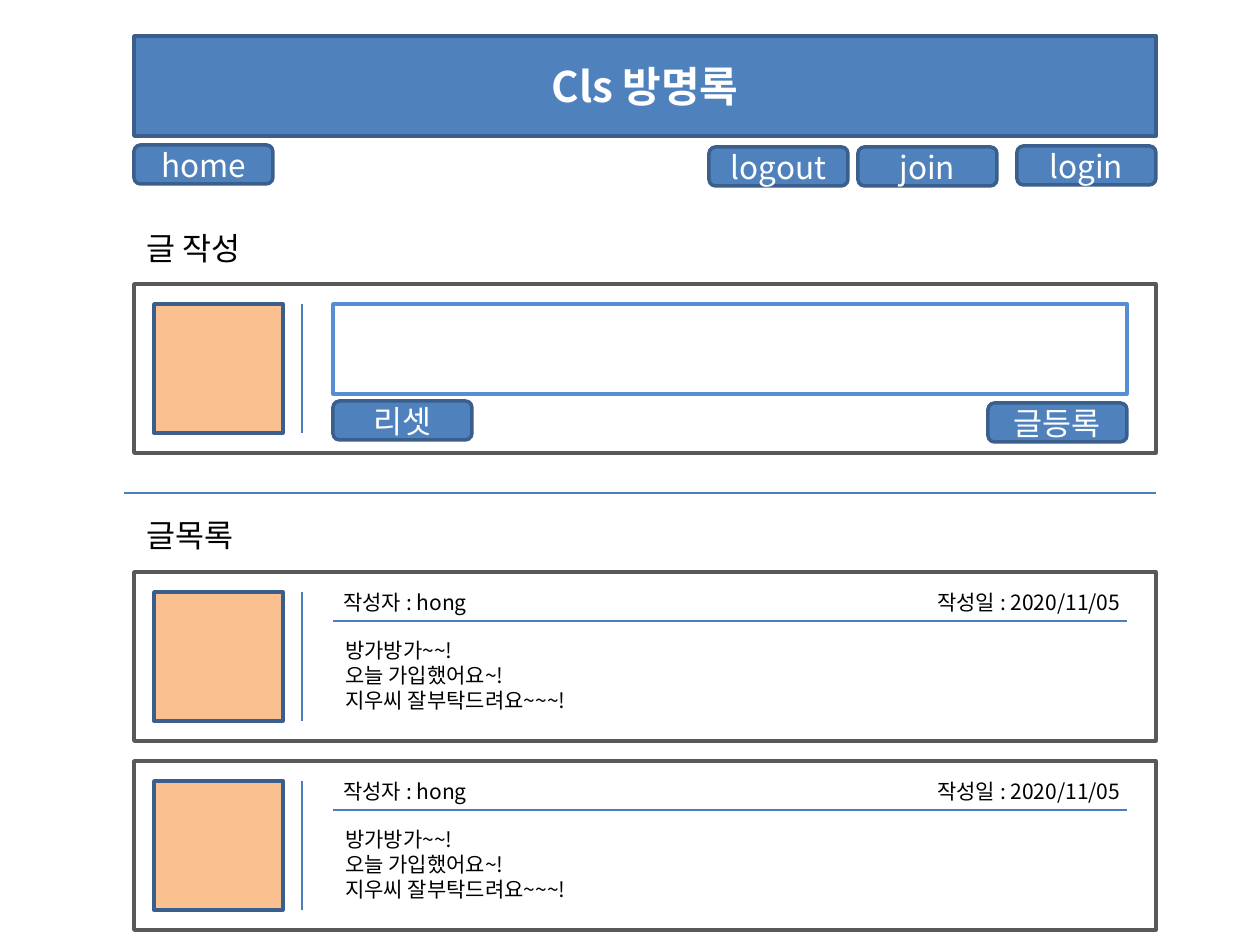
import pptx
import pptx.dml.color
import pptx.enum.shapes
import pptx.enum.text
import pptx.oxml.ns
import pptx.util
from lxml import etree

RGB = pptx.dml.color.RGBColor
SHAPE = pptx.enum.shapes.MSO_SHAPE
ALIGN = pptx.enum.text.PP_ALIGN
qn = pptx.oxml.ns.qn

BLUE = RGB(0x4F, 0x81, 0xBD)
NAVY = RGB(0x3A, 0x5F, 0x8C)
RULE_BLUE = RGB(0x4B, 0x7E, 0xBC)
INPUT_BLUE = RGB(0x55, 0x8E, 0xD5)
PEACH = RGB(0xFA, 0xC0, 0x90)
GREY = RGB(0x59, 0x59, 0x59)
WHITE = RGB(0xFF, 0xFF, 0xFF)
BLACK = RGB(0, 0, 0)

FONT = "Noto Sans CJK KR"
EMU_PER_PX = 914400 / 126
LEFT, WIDTH, CARD_HEIGHT = 134, 1022, 169
PADDING, CONTENT_LEFT, CONTENT_WIDTH = 20, 199, 794
BUTTON_SIZE = (139, 39)


def px(*lengths):
    return [pptx.util.Emu(round(length * EMU_PER_PX)) for length in lengths]


def paint(shape, fill, outline):
    shape.fill.solid()
    shape.fill.fore_color.rgb = fill
    shape.line.color.rgb = outline
    shape.line.width = pptx.util.Pt(2)


def write(frame, text, size, color, align=ALIGN.LEFT, bold=False):
    paragraph = frame.paragraphs[0]
    paragraph.text = text
    paragraph.alignment = align
    font = paragraph.font
    font.name, font.size, font.bold = FONT, pptx.util.Pt(size), bold
    font.color.rgb = color
    latin = paragraph._p.pPr.find(qn("a:defRPr")).find(qn("a:latin"))
    east_asian = etree.Element(qn("a:ea"), typeface=FONT)
    latin.addnext(east_asian)


def add_box(slide, left, top, width, height, fill, outline, kind=SHAPE.RECTANGLE):
    box = slide.shapes.add_shape(kind, *px(left, top, width, height))
    box.shadow.inherit = False
    paint(box, fill, outline)
    return box


def add_button(slide, left, top, caption):
    button = add_box(slide, left, top, *BUTTON_SIZE, BLUE, NAVY, SHAPE.ROUNDED_RECTANGLE)
    button.text_frame.vertical_anchor = pptx.enum.text.MSO_ANCHOR.MIDDLE
    write(button.text_frame, caption, 18, WHITE, ALIGN.CENTER)


def add_label(slide, left, top, width, height, text, size):
    label = slide.shapes.add_textbox(*px(left, top, width, height))
    label.text_frame.word_wrap = False
    label.text_frame.auto_size = pptx.enum.text.MSO_AUTO_SIZE.SHAPE_TO_FIT_TEXT
    write(label.text_frame, text, size, BLACK)


def add_rule(slide, x1, y1, x2, y2):
    rule = slide.shapes.add_connector(
        pptx.enum.shapes.MSO_CONNECTOR.STRAIGHT, *px(x1, y1, x2, y2))
    rule.line.color.rgb = RULE_BLUE
    rule.line.width = pptx.util.Pt(0.75)
    etree.SubElement(rule._element.spPr, qn("a:effectLst"))


def add_header(slide, left, top, width, height):
    title = slide.shapes.title
    title.left, title.top, title.width, title.height = px(left, top, width, height)
    paint(title, BLUE, NAVY)
    title.text_frame.vertical_anchor = pptx.enum.text.MSO_ANCHOR.MIDDLE
    write(title.text_frame, "Cls 방명록", 24, WHITE, ALIGN.CENTER, bold=True)


def add_navigation(slide, left, top):
    for dx, dy, caption in ((0, 0, "home"), (883, 1, "login"),
                            (724, 2, "join"), (575, 2, "logout")):
        add_button(slide, left + dx, top + dy, caption)


def add_card(slide, left, top):
    """Framed panel with the avatar and the divider beside it."""
    avatar = 129
    add_box(slide, left, top, WIDTH, CARD_HEIGHT, WHITE, GREY)
    add_rule(slide, left + 168, top + PADDING, left + 168, top + PADDING + avatar)
    add_box(slide, left + PADDING, top + PADDING, avatar, avatar, PEACH, NAVY)


def add_write_form(slide, left, top):
    add_card(slide, left, top)
    content = left + CONTENT_LEFT
    add_box(slide, content, top + PADDING, CONTENT_WIDTH, 90, WHITE, INPUT_BLUE)
    add_button(slide, content + CONTENT_WIDTH - BUTTON_SIZE[0], top + 119, "글등록")
    add_button(slide, content, top + 117, "리셋")


def add_entry(slide, left, top, author, date, message):
    add_card(slide, left, top)
    content = left + CONTENT_LEFT
    add_rule(slide, content, top + 49, content + CONTENT_WIDTH, top + 49)
    add_label(slide, left + 791, top + 11, 219, 38, f"작성일 : {date}", 12)
    add_label(slide, content - 2, top + 11, 159, 38, f"작성자 : {author}", 12)
    add_label(slide, content, top + 59, 275, 89, message, 12)


def main():
    deck = pptx.Presentation()
    deck.slide_width, deck.slide_height = px(1260, 945)
    slide = deck.slides.add_slide(deck.slide_layouts.get_by_name("Title Only"))

    add_header(slide, LEFT, 36, WIDTH, 100)
    add_navigation(slide, LEFT, 145)
    add_label(slide, LEFT, 223, 132, 50, "글 작성", 18)
    add_write_form(slide, LEFT, 284)
    add_label(slide, LEFT, 510, 121, 50, "글목록", 18)
    add_rule(slide, LEFT - 10, 493, LEFT + WIDTH, 493)

    message = "방가방가~~!\n오늘 가입했어요~!\n지우씨 잘부탁드려요~~~!"
    for top in (572, 761):
        add_entry(slide, LEFT, top, "hong", "2020/11/05", message)

    deck.save("out.pptx")


if __name__ == "__main__":
    main()
